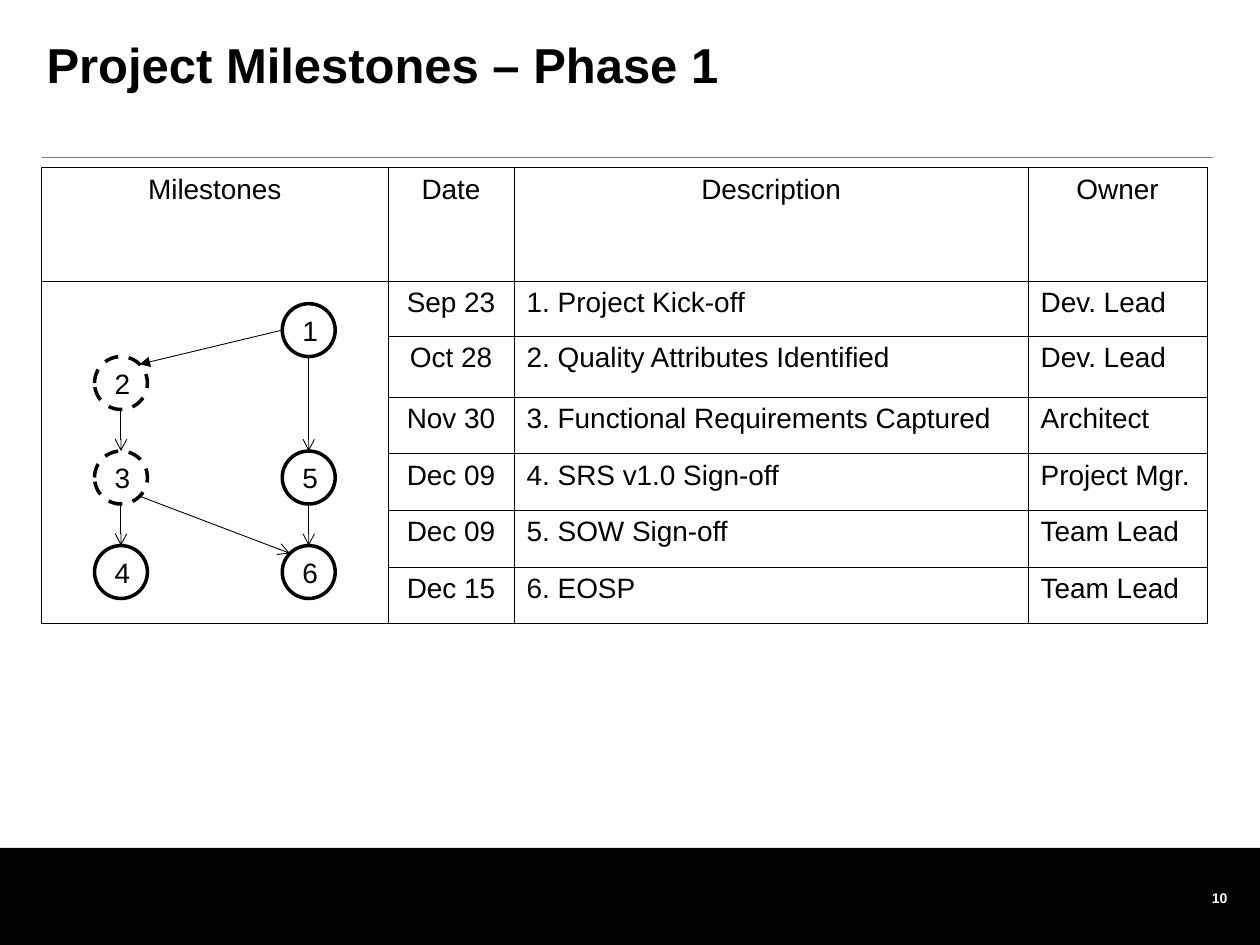
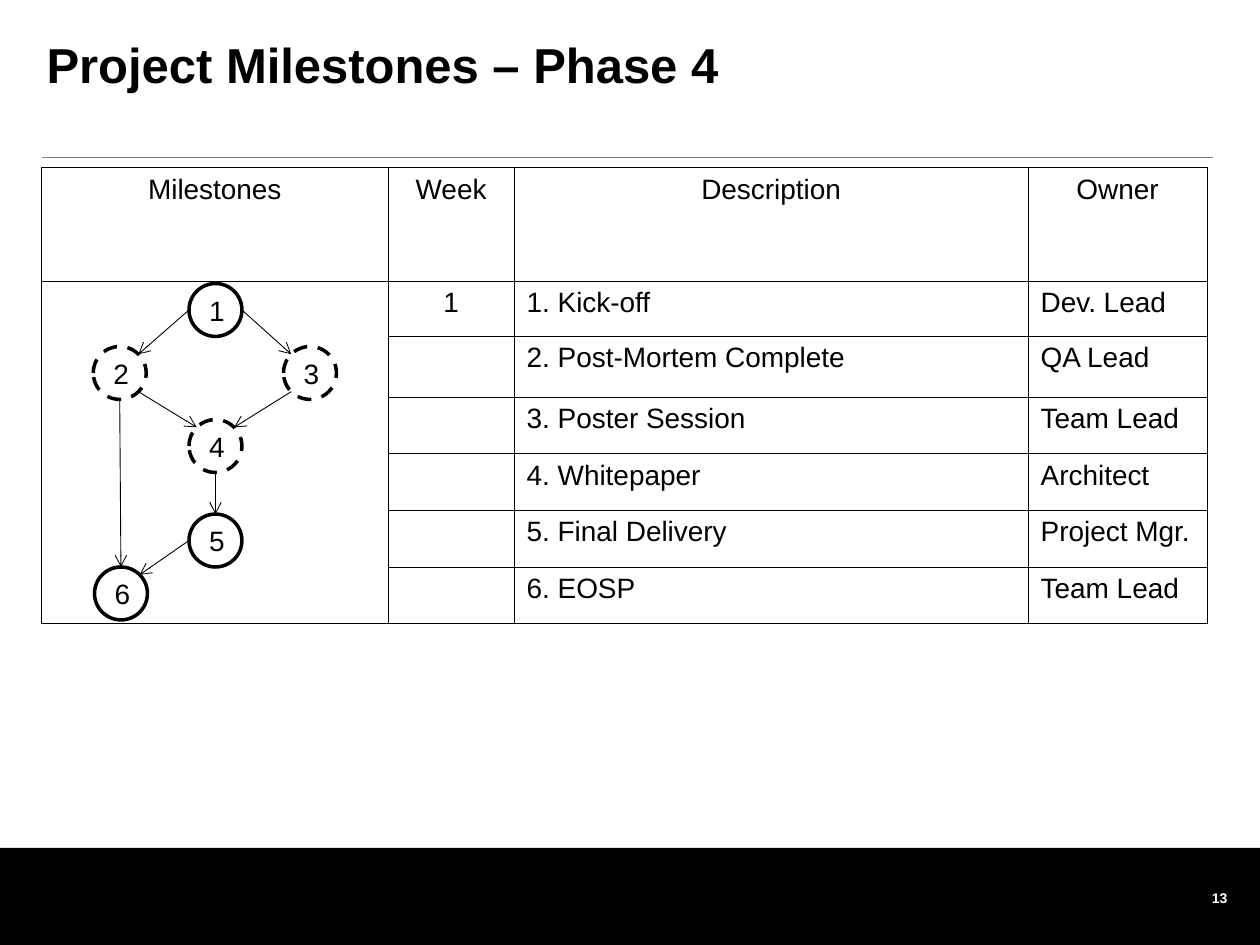
from dataclasses import dataclass
from math import cos, radians, sin

from lxml import etree
from pptx import Presentation
from pptx.dml.color import RGBColor
from pptx.enum.dml import MSO_LINE
from pptx.enum.shapes import MSO_CONNECTOR, MSO_SHAPE
from pptx.enum.text import MSO_ANCHOR, PP_ALIGN
from pptx.oxml.ns import qn
from pptx.util import Inches, Pt

LEFT, CENTER, RIGHT = PP_ALIGN.LEFT, PP_ALIGN.CENTER, PP_ALIGN.RIGHT
TOP, MIDDLE = MSO_ANCHOR.TOP, MSO_ANCHOR.MIDDLE
DASH = MSO_LINE.DASH
RECT, OVAL = MSO_SHAPE.RECTANGLE, MSO_SHAPE.OVAL
STRAIGHT = MSO_CONNECTOR.STRAIGHT


@dataclass(frozen=True)
class Theme:
    font: str = "Arial"
    ink: str = "000000"
    paper: str = "FFFFFF"
    rule: str = "808080"
    title_size: int = 28
    body_size: int = 16
    number_size: int = 8
    thin: float = 0.5
    border: float = 0.45
    outline: float = 2


THEME = Theme()
COLS = [2.75, 1, 4.08, 1.42]
ROWS = [0.9, 0.44, 0.48] + [0.45] * 4
DIAMETER = 0.42

# Points on a circle, counted counter-clockwise from the top in steps of 45°
(N, NW, W, SW, S, SE, E, NE) = range(8)

PHASE_1 = {
    "title": "Project Milestones – Phase 1",
    "number": "10",
    "rows": [
        ("Milestones", "Date", "Description", "Owner"),
        ("", "Sep 23", "1. Project Kick-off", "Dev. Lead"),
        ("", "Oct 28", "2. Quality Attributes Identified", "Dev. Lead"),
        ("", "Nov 30", "3. Functional Requirements Captured", "Architect"),
        ("", "Dec 09", "4. SRS v1.0 Sign-off", "Project Mgr."),
        ("", "Dec 09", "5. SOW Sign-off", "Team Lead"),
        ("", "Dec 15", "6. EOSP", "Team Lead"),
    ],
    # milestone: (left, top)
    "milestones": {1: (2.24, 2.41), 2: (0.75, 2.83), 3: (0.75, 3.58),
                   4: (0.75, 4.33), 5: (2.24, 3.58), 6: (2.24, 4.33)},
    "dashed": {2, 3},
    # (from, point, to, point, arrowhead)
    "links": [(1, W, 2, NE, "triangle"), (2, S, 3, N, "arrow"),
              (1, S, 5, N, "arrow"), (3, S, 4, N, "arrow"),
              (3, SE, 6, NW, "arrow"), (5, S, 6, N, "arrow")],
}

PHASE_4 = {
    "title": "Project Milestones – Phase 4",
    "number": "13",
    "rows": [
        ("Milestones", "Week", "Description", "Owner"),
        ("", "1", "1. Kick-off", "Dev. Lead"),
        ("", "", "2. Post-Mortem Complete", "QA Lead"),
        ("", "", "3. Poster Session", "Team Lead"),
        ("", "", "4. Whitepaper", "Architect"),
        ("", "", "5. Final Delivery", "Project Mgr."),
        ("", "", "6. EOSP", "Team Lead"),
    ],
    "milestones": {1: (1.5, 2.25), 2: (0.74, 2.75), 3: (2.25, 2.75),
                   4: (1.5, 3.33), 5: (1.5, 4.08), 6: (0.75, 4.5)},
    "dashed": {2, 3, 4},
    "links": [(1, W, 2, NE, "arrow"), (4, S, 5, N, "arrow"),
              (1, E, 3, NW, "arrow"), (2, SE, 4, NW, "arrow"),
              (3, SW, 4, NE, "arrow"), (2, S, 6, N, "arrow"),
              (5, W, 6, NE, "arrow")],
}


def rgb(color):
    return RGBColor.from_string(color)


def write(tf, text, size=THEME.body_size, color=THEME.ink, bold=False,
          align=LEFT, spacing=None, before=None):
    p = tf.paragraphs[0]
    p.alignment = align
    if spacing is not None:
        p.line_spacing = spacing
    if before is not None:
        p.space_before = Pt(before)
    r = p.add_run()
    r.text = text
    r.font.name = THEME.font
    r.font.size = Pt(size)
    r.font.bold = bold
    r.font.color.rgb = rgb(color)


def set_frame(tf, margins, anchor=TOP):
    tf.word_wrap = True
    tf.vertical_anchor = anchor
    (tf.margin_left, tf.margin_top,
     tf.margin_right, tf.margin_bottom) = map(Inches, margins)


def add_text(s, box, text, margins=(0, 0, 0, 0), **fmt):
    tf = s.shapes.add_textbox(*map(Inches, box)).text_frame
    set_frame(tf, margins)
    write(tf, text, **fmt)


def add_shape(s, kind, box, fill, dash=None, outline=None):
    sp = s.shapes.add_shape(kind, *map(Inches, box))
    sp.shadow.inherit = False
    sp.fill.solid()
    sp.fill.fore_color.rgb = rgb(fill)
    if outline is None:
        sp.line.fill.background()
    else:
        sp.line.color.rgb = rgb(THEME.ink)
        sp.line.width = Pt(outline)
        if dash is not None:
            sp.line.dash_style = dash
    return sp


def add_line(s, start, end, color=THEME.ink, head=None):
    line = s.shapes.add_connector(STRAIGHT, *map(Inches, (*start, *end)))
    line.line.color.rgb = rgb(color)
    line.line.width = Pt(THEME.thin)
    if head:
        etree.SubElement(line.line._get_or_add_ln(), qn("a:tailEnd"), type=head)
    etree.SubElement(line._element.spPr, qn("a:effectLst"))


def add_borders(cell):
    tc_pr = cell._tc.get_or_add_tcPr()
    for side in ("lnL", "lnR", "lnT", "lnB"):
        ln = etree.SubElement(tc_pr, qn(f"a:{side}"), w=str(Pt(THEME.border)))
        fill = etree.SubElement(ln, qn("a:solidFill"))
        etree.SubElement(fill, qn("a:srgbClr"), val=THEME.ink)


def add_milestone_table(s, rows):
    box = (0.33, 1.33, sum(COLS), sum(ROWS))
    table = s.shapes.add_table(len(ROWS), len(COLS), *map(Inches, box)).table
    table.first_row = table.horz_banding = False
    for col, width in zip(table.columns, COLS):
        col.width = Inches(width)
    for row, height in zip(table.rows, ROWS):
        row.height = Inches(height)
    for i, texts in enumerate(rows):
        for j, text in enumerate(texts):
            cell = table.cell(i, j)
            add_borders(cell)
            cell.fill.background()
            if text:
                centred = i == 0 or j == 1
                write(cell.text_frame, text, align=CENTER if centred else LEFT)
    # The diagram column is one tall cell below its heading
    table.cell(1, 0).merge(table.cell(len(ROWS) - 1, 0))


def circle_point(corner, point):
    radius = DIAMETER / 2
    angle = radians(45 * point)
    left, top = corner
    return (left + radius * (1 - sin(angle)), top + radius * (1 - cos(angle)))


def add_milestone_graph(s, milestones, dashed, links):
    for label, corner in milestones.items():
        sp = add_shape(s, OVAL, (*corner, DIAMETER, DIAMETER), THEME.paper,
                       dash=DASH if label in dashed else None,
                       outline=THEME.outline)
        set_frame(sp.text_frame, (0.1, 0.05, 0.1, 0.05), MIDDLE)
        write(sp.text_frame, str(label), align=CENTER, before=10)
    for source, out, target, into, head in links:
        add_line(s, circle_point(milestones[source], out),
                 circle_point(milestones[target], into), head=head)


def add_base(prs, title, number):
    s = prs.slides.add_slide(prs.slide_layouts[6])
    # Footer band with slide number
    add_shape(s, RECT, (0, 6.73, 10, 0.77), THEME.ink)
    add_text(s, (8.92, 7.01, 0.92, 0.41), number, (0, 0, 0.1, 0.05),
             size=THEME.number_size, color=THEME.paper, bold=True,
             align=RIGHT, spacing=Pt(13))
    # Title and rule
    add_line(s, (0.33, 1.25), (9.63, 1.25), THEME.rule)
    add_text(s, (0.37, 0.33, 9.3, 0.43), title,
             size=THEME.title_size, bold=True, spacing=0.9)
    return s


def main():
    prs = Presentation()
    prs.slide_width, prs.slide_height = Inches(10), Inches(7.5)
    for phase in (PHASE_1, PHASE_4):
        s = add_base(prs, phase["title"], phase["number"])
        add_milestone_table(s, phase["rows"])
        add_milestone_graph(s, phase["milestones"], phase["dashed"],
                            phase["links"])
    prs.save("out.pptx")


if __name__ == "__main__":
    main()
